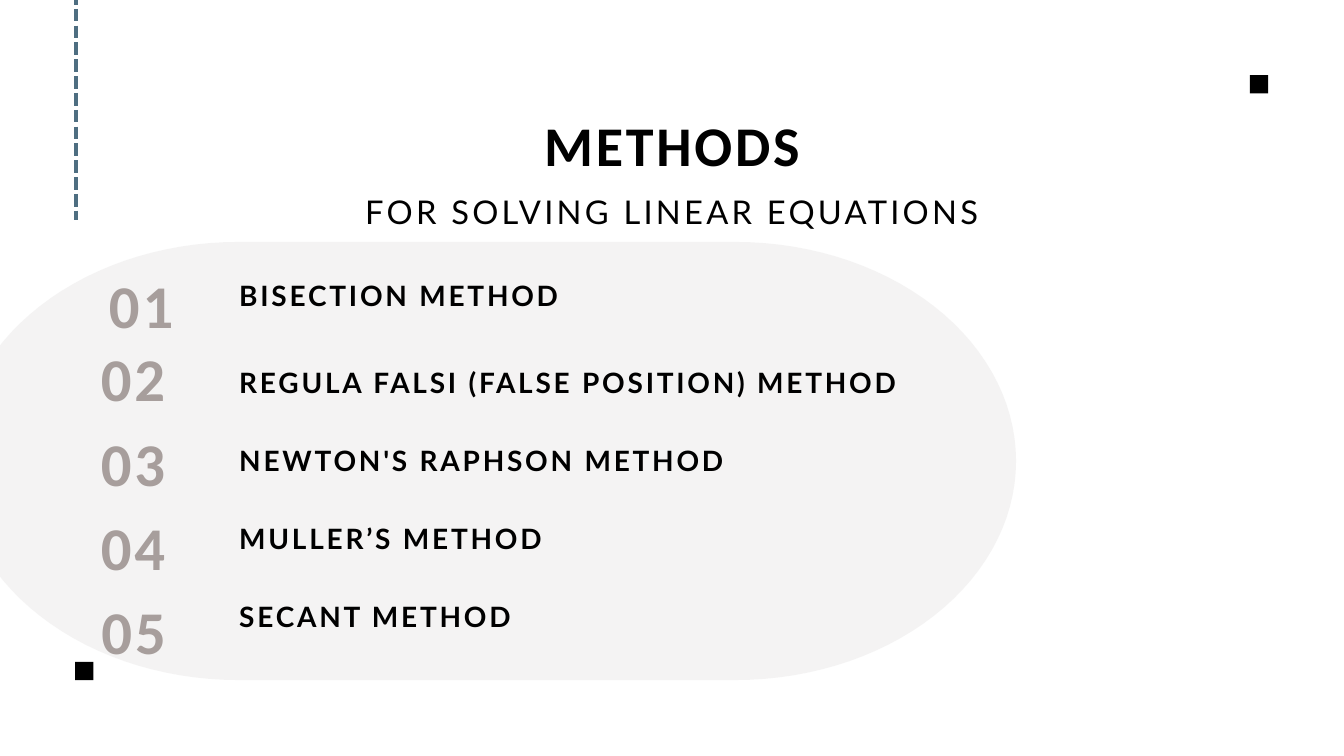
"""Build the slide that lists five methods for solving equations."""
from math import cos, pi, sin

from lxml import etree
from pptx import Presentation
from pptx.dml.color import RGBColor
from pptx.enum.dml import MSO_LINE
from pptx.enum.shapes import MSO_CONNECTOR, MSO_SHAPE
from pptx.enum.text import PP_ALIGN
from pptx.oxml.ns import qn
from pptx.util import Pt

PX = 9144
BLACK = RGBColor(0x00, 0x00, 0x00)
PALE_GREY = RGBColor(0xF2, 0xF1, 0xF1)
TAUPE = RGBColor(0xA7, 0x9E, 0x9C)
STEEL_BLUE = RGBColor(0x4E, 0x6E, 0x81)
LEFT, CENTER = PP_ALIGN.LEFT, PP_ALIGN.CENTER
STRAIGHT, RECTANGLE = MSO_CONNECTOR.STRAIGHT, MSO_SHAPE.RECTANGLE
SHORT_DASH = MSO_LINE.SQUARE_DOT

TITLE_STYLE = dict(font="Calibri", size=60, leading=84, spacing=3, bold=True, color=BLACK, align=CENTER)
SUBTITLE_STYLE = dict(font="Lato", size=35, leading=49, spacing=3.5, bold=False, color=BLACK, align=CENTER)
NUMBER_STYLE = dict(font="Calibri", size=65, leading=91, spacing=3.2, bold=True, color=TAUPE)
METHOD_STYLE = dict(font="Lato", size=30, leading=42, spacing=3, bold=True, color=BLACK, align=LEFT)

HEADINGS = [
    ("METHODS", (151, 148, 1698, 118), TITLE_STYLE),
    ("FOR SOLVING LINEAR EQUATIONS", (151, 276, 1698, 65), SUBTITLE_STYLE),
]
METHODS = [
    ("BISECTION METHOD", (126, 381, 168, 127), CENTER, 406),
    ("REGULA FALSI (FALSE POSITION) METHOD", (150, 489, 144, 127), LEFT, 535),
    ("NEWTON'S RAPHSON METHOD", (150, 615, 148, 127), LEFT, 651),
    ("MULLER’S METHOD", (150, 741, 145, 127), LEFT, 768),
    ("SECANT METHOD", (151, 866, 158, 127), LEFT, 884),
]
METHOD_LEFT, METHOD_WIDTH, METHOD_HEIGHT = 356, 1009, 57
PANEL = dict(left_center=355, right_center=1094, middle=686, radius_x=418, radius_y=326)
PANEL_STEPS = 60
SQUARES = [(112, 985), (1860, 112)]
SQUARE_SIZE = 27
DASHED_LINE = (113, -37, 113, 328)


def px(*lengths):
    return [round(length * PX) for length in lengths]


def paint(shape, color):
    shape.shadow.inherit = False
    shape.fill.solid()
    shape.fill.fore_color.rgb = color
    shape.line.fill.background()


def add_text(slide, text, box, font, size, leading, spacing, bold, color, align):
    frame = slide.shapes.add_textbox(*px(*box)).text_frame
    frame.word_wrap = True
    frame.margin_left = frame.margin_top = frame.margin_right = frame.margin_bottom = 0
    paragraph = frame.paragraphs[0]
    paragraph.alignment = align
    paragraph.line_spacing = Pt(leading)
    run = paragraph.add_run()
    run.text = text
    run.font.name = font
    run.font.size = Pt(size)
    run.font.bold = bold
    run.font.color.rgb = color
    run.font._element.set("spc", str(round(spacing * 100)))


def add_panel(slide, left_center, right_center, middle, radius_x, radius_y):
    points = []
    for center, start in ((right_center, -pi / 2), (left_center, pi / 2)):
        for step in range(PANEL_STEPS + 1):
            angle = start + pi * step / PANEL_STEPS
            points.append(px(center + radius_x * cos(angle), middle + radius_y * sin(angle)))
    builder = slide.shapes.build_freeform(*points[0])
    builder.add_line_segments(points[1:], close=True)
    panel = builder.convert_to_shape()
    paint(panel, PALE_GREY)
    color = panel._element.spPr.find(qn("a:solidFill"))[0]
    etree.SubElement(color, qn("a:alpha"), val="80000")


def add_dashed_line(slide):
    connector = slide.shapes.add_connector(STRAIGHT, *px(*DASHED_LINE))
    connector.line.color.rgb = STEEL_BLUE
    connector.line.width = Pt(4.5)
    connector.line.dash_style = SHORT_DASH
    etree.SubElement(connector._element.spPr, qn("a:effectLst"))


def main():
    presentation = Presentation()
    presentation.slide_width, presentation.slide_height = px(2000, 1125)
    slide = presentation.slides.add_slide(presentation.slide_layouts[6])
    for text, box, style in HEADINGS:
        add_text(slide, text, box, **style)
    add_panel(slide, **PANEL)
    for left, top in SQUARES:
        square = slide.shapes.add_shape(RECTANGLE, *px(left, top, SQUARE_SIZE, SQUARE_SIZE))
        paint(square, BLACK)
    add_dashed_line(slide)
    for number, (method, number_box, align, top) in enumerate(METHODS, 1):
        add_text(slide, f"{number:02}", number_box, align=align, **NUMBER_STYLE)
        method_box = (METHOD_LEFT, top, METHOD_WIDTH, METHOD_HEIGHT)
        add_text(slide, method, method_box, **METHOD_STYLE)
    presentation.save("out.pptx")


if __name__ == "__main__":
    main()
